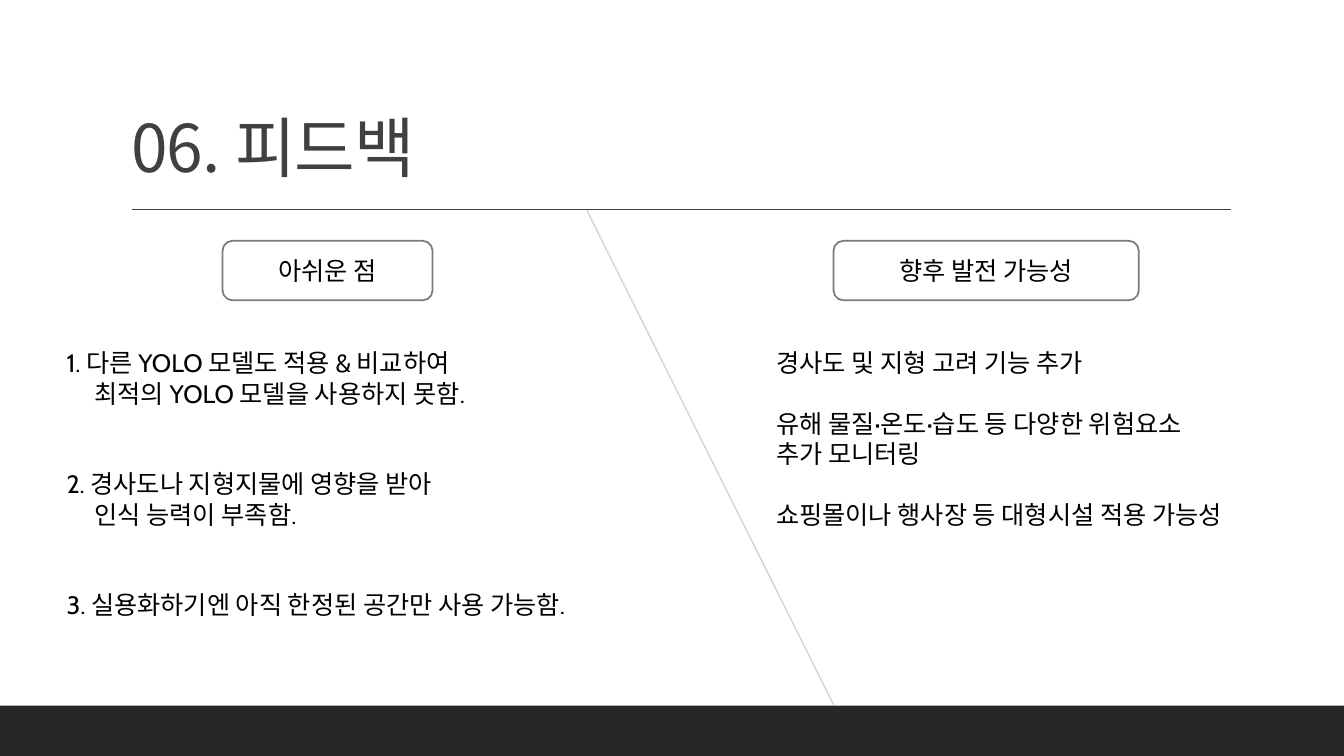
from dataclasses import dataclass

from lxml.etree import SubElement
from pptx import Presentation
from pptx.dml.color import RGBColor
from pptx.enum.shapes import MSO_CONNECTOR, MSO_SHAPE
from pptx.enum.text import MSO_ANCHOR, MSO_AUTO_SIZE, PP_ALIGN
from pptx.oxml.ns import qn
from pptx.util import Pt


@dataclass(frozen=True)
class Theme:
    dark: RGBColor = RGBColor(0x26, 0x26, 0x26)
    title: RGBColor = RGBColor(0x40, 0x40, 0x40)
    text: RGBColor = RGBColor(0, 0, 0)
    paper: RGBColor = RGBColor(0xFF, 0xFF, 0xFF)
    border: RGBColor = RGBColor(0x73, 0x7C, 0x87)
    divider: RGBColor = RGBColor(0x9B, 0xA8, 0xB7)
    heading_font: str = "Noto Sans CJK KR"
    body_font: str = "Cabin"
    title_size: int = 47
    body_size: int = 18


THEME = Theme()
PAGE_WIDTH, PAGE_HEIGHT = 960, 540
BAR_TOP, RULE_TOP = 504, 149.76
LINE_HEIGHT = 21.6
HANGING = 20

# Each item is a numbered or plain paragraph; \v starts a new line within it
SHORTCOMINGS = [
    "1. 다른 YOLO 모델도 적용 & 비교하여\v최적의 YOLO 모델을 사용하지 못함.",
    "2. 경사도나 지형지물에 영향을 받아\v인식 능력이 부족함.",
    "3. 실용화하기엔 아직 한정된 공간만 사용 가능함.",
]
PROSPECTS = [
    "경사도 및 지형 고려 기능 추가",
    "유해 물질·온도·습도 등 다양한 위험요소\v추가 모니터링",
    "쇼핑몰이나 행사장 등 대형시설 적용 가능성",
]


def place(shape, left, top, width, height):
    shape.left, shape.top = Pt(left), Pt(top)
    shape.width, shape.height = Pt(width), Pt(height)


def format_runs(para, font, size, color, spacing=None):
    for span in para.runs:
        span.font.name = font
        span.font.size = Pt(size)
        span.font.color.rgb = color
        properties = span.font._element
        SubElement(properties, qn("a:ea")).set("typeface", font)
        if spacing is not None:
            properties.set("spc", str(spacing))


def add_line(page, start, end, color, alpha=None):
    line = page.shapes.add_connector(
        MSO_CONNECTOR.STRAIGHT, *(Pt(value) for value in start + end))
    line.line.color.rgb = color
    line.line.width = Pt(1)
    SubElement(line._element.spPr, qn("a:effectLst"))
    if alpha is not None:
        fill = line.line._ln.find(qn("a:solidFill"))
        SubElement(fill[0], qn("a:alpha")).set("val", str(alpha * 1000))


def add_bar(page):
    bar = page.shapes.add_shape(
        MSO_SHAPE.RECTANGLE, 0, Pt(BAR_TOP), Pt(PAGE_WIDTH), Pt(PAGE_HEIGHT - BAR_TOP))
    bar.shadow.inherit = False
    bar.fill.solid()
    bar.fill.fore_color.rgb = THEME.dark
    bar.line.fill.background()


def add_badge(page, label, left, width):
    badge = page.shapes.add_shape(
        MSO_SHAPE.ROUNDED_RECTANGLE, Pt(left), Pt(172), Pt(width), Pt(42.5))
    badge.shadow.inherit = False
    badge.fill.solid()
    badge.fill.fore_color.rgb = THEME.paper
    badge.line.color.rgb = THEME.border
    badge.line.width = Pt(1.25)
    frame = badge.text_frame
    frame.text = label
    frame.vertical_anchor = MSO_ANCHOR.MIDDLE
    para = frame.paragraphs[0]
    para.alignment = PP_ALIGN.CENTER
    format_runs(para, THEME.heading_font, THEME.body_size, THEME.text)


def set_title(title, text):
    place(title, 86.4, 22.3, 792, 114.5)
    frame = title.text_frame
    frame.text = text
    frame.auto_size = MSO_AUTO_SIZE.NONE
    frame.vertical_anchor = MSO_ANCHOR.BOTTOM
    para = frame.paragraphs[0]
    para.alignment = PP_ALIGN.LEFT
    para.line_spacing = 0.9
    format_runs(para, THEME.heading_font, THEME.title_size, THEME.title, spacing=-50)


def fill_list(body, items, bounds, gap, hanging=0):
    place(body, *bounds)
    frame = body.text_frame
    frame.auto_size = MSO_AUTO_SIZE.NONE
    for index, item in enumerate(items):
        para = frame.add_paragraph() if index else frame.paragraphs[0]
        para.text = item
        properties = para._p.get_or_add_pPr()
        properties.set("marL", str(Pt(hanging)))
        properties.set("indent", str(-Pt(hanging)))
        SubElement(properties, qn("a:buNone"))
        para.font.size = Pt(THEME.body_size)
        para.line_spacing = Pt(LINE_HEIGHT)
        para.space_before = Pt(gap if index else 0)
        format_runs(para, THEME.body_font, THEME.body_size, THEME.text)


def main():
    deck = Presentation()
    deck.slide_width, deck.slide_height = Pt(PAGE_WIDTH), Pt(PAGE_HEIGHT)
    page = deck.slides.add_slide(deck.slide_layouts[3])
    title, left_list, right_list = page.placeholders

    # Frame of the page
    add_bar(page)
    add_line(page, (94.3, RULE_TOP), (879, RULE_TOP), THEME.title)
    set_title(title, "06. 피드백")

    # Slanted divider and column headings
    add_line(page, (419, RULE_TOP), (595.4, 503.3), THEME.divider, alpha=48)
    add_badge(page, "아쉬운 점", 159, 150)
    add_badge(page, "향후 발전 가능성", 595.4, 218)

    # Column texts
    fill_list(left_list, SHORTCOMINGS, (40.3, 244.8, 423.4, 269.3),
              gap=2 * LINE_HEIGHT, hanging=HANGING)
    fill_list(right_list, PROSPECTS, (547.2, 244.8, 388.8, 138.2), gap=LINE_HEIGHT)

    deck.save("out.pptx")


if __name__ == "__main__":
    main()
